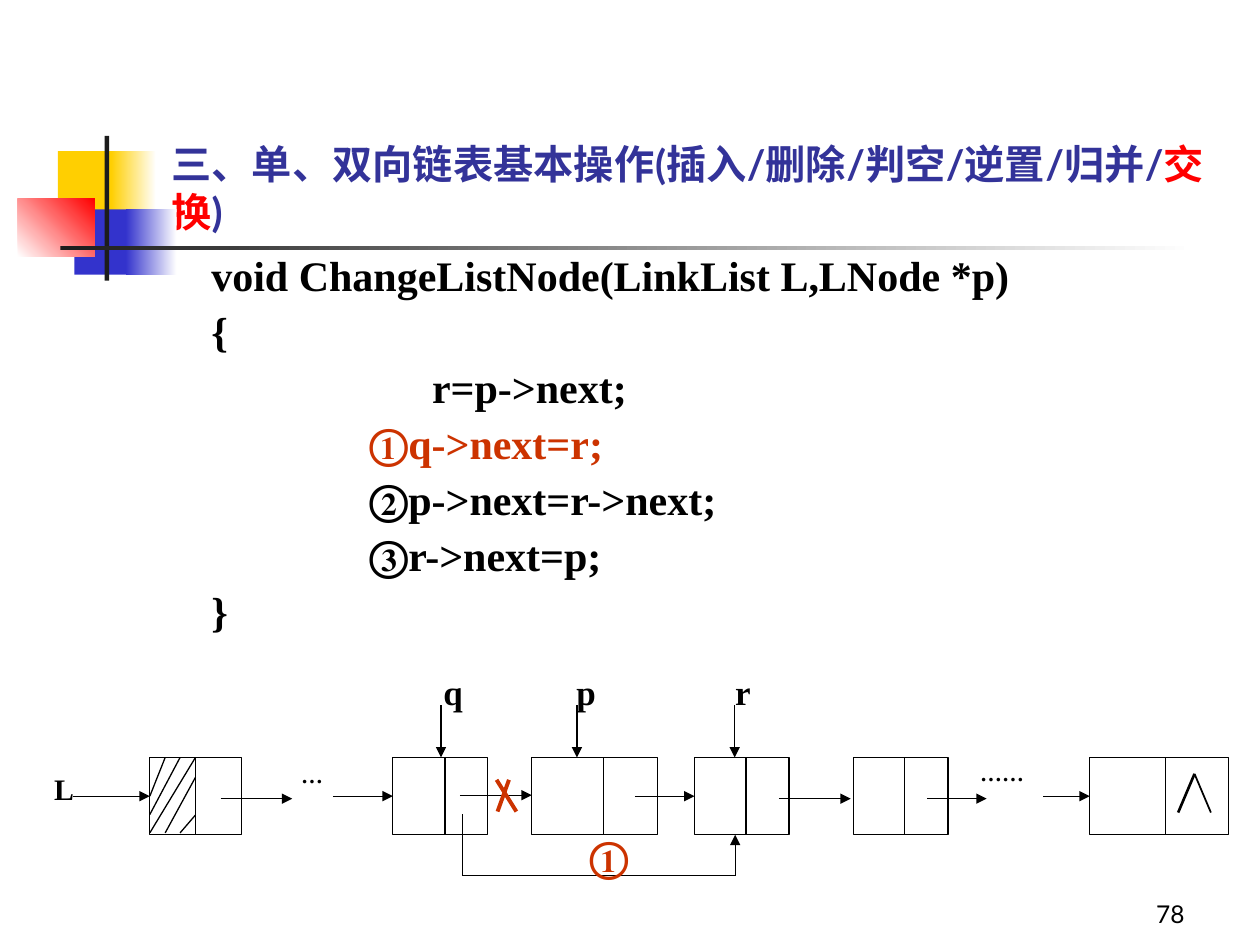
from pptx import Presentation
from pptx.dml.color import RGBColor as Rgb
from pptx.enum.shapes import MSO_CONNECTOR as Link, MSO_SHAPE as Kind
from pptx.enum.text import MSO_ANCHOR as Anchor, PP_ALIGN as Align
from pptx.oxml.ns import qn
from pptx.util import Cm, Pt
from lxml.etree import SubElement as Sub

THEME = dict(
    black="000000", white="FFFFFF", red="CC3300", hot="FF0000", navy="333399",
    gold="FFCF01", blue="3333CC", ink="1C1C1C",
    body="Times New Roman", head="Lato",
    title=23, code=24, label=20, list=17, dots=12.5, page=14,
    thin=0.25, line=0.75, mid=1, bold=1.5, cross=2.25,
)

TITLE = [("三、单、双向链表基本操作(插入/删除/判空/逆置/归并/", "navy"),
         ("交换", "hot"), (")", "navy")]

# text, colour, indent
CODE = [
    ("void ChangeListNode(LinkList L,LNode *p)", "black", 0),
    ("{", "black", 0),
    ("r=p->next;", "black", 4.45),
    ("①q->next=r;", "red", 3.18),
    ("②p->next=r->next;", "black", 3.18),
    ("③r->next=p;", "black", 3.18),
    ("}", "black", 0),
]

# left, top, width, height, first colour, last colour, angle
DECOR = [
    (1.17, 3.05, 1.22, 1.32, "gold", None, 0),
    (2.24, 3.05, 0.91, 1.32, "gold", "white", 0),
    (1.5, 4.22, 1.17, 1.32, "blue", None, 0),
    (2.54, 4.22, 1.02, 1.32, "blue", "white", 0),
    (0.36, 4.01, 1.55, 1.17, "white", "hot", 45),
    (2.11, 2.74, 0.09, 2.92, "ink", None, 0),
    (1.22, 4.95, 22.86, 0.09, "ink", "white", 0),
]

TOP, TALL = 15.27, 1.56
# left, width, divider
NODES = [(3.02, 1.85, 3.94), (7.92, 1.91, 8.97), (10.72, 2.54, 12.17),
         (14, 1.91, 15.04), (17.2, 1.91, 18.24), (21.97, 2.79, 23.5)]
# start, end, height
NEXT = [(1.47, 3.02, 16.05), (4.45, 5.89, 16.1), (6.71, 7.92, 16.05),
        (9.27, 10.72, 16.03), (12.8, 14, 16.05), (15.7, 17.15, 16.1),
        (18.69, 19.89, 16.1), (21.03, 21.97, 16.05)]
MARKS = [8.89, 11.63, 14.81]
HATCH = [(3.94, TOP, 3.02, 16.79), (3.33, TOP, 3.02, 16.05),
         (3.63, TOP, 3.02, 16.42), (3.94, 15.67, 3.33, 16.79),
         (3.94, 16.43, 3.63, 16.79)]
# ends, weight, colour
STROKES = [
    ((23.75, 16.38, 24.08, 15.6), "bold", "black"),
    ((24.08, 15.6, 24.41, 16.38), "mid", "black"),
    ((9.32, 17.65, 9.32, 16.41), "thin", "black"),
    ((9.32, 17.65, 14.82, 17.65), "line", "black"),
    ((10.26, 15.72, 10.03, 16.36), "cross", "red"),
    ((10.01, 15.72, 10.41, 16.36), "cross", "red"),
]
BYPASS = (14.82, 17.65, 14.82, TOP + TALL)

# text, box, size, colour, line spacing
NOTES = [
    ("……", (19.51, 15.29, 2.08, 0.84), "dots", "black", 0.8),
    ("…", (5.82, 15.34, 1.22, 0.84), "dots", "black", 0.8),
    ("L", (0.84, 15.49, 1.07, 1.07), "list", "black", 0.9),
    ("①", (11.63, 16.61, 1.3, 1.27), "code", "red", 1),
]
NAMES, STOPS = "q\tp\tr", (2.68, 5.88)


def tint(name):
    return Rgb.from_string(THEME[name])


def cms(nums):
    return [Cm(n) for n in nums]


def box(slide, area, first=None, last=None, turn=0, edge=False):
    shape = slide.shapes.add_shape(Kind.RECTANGLE, *cms(area))
    shape.shadow.inherit = False
    if last:
        shape.fill.gradient()
        shape.fill.gradient_angle = turn
        for stop, name in zip(shape.fill.gradient_stops, (first, last)):
            stop.color.rgb = tint(name)
    else:
        shape.fill.solid()
        shape.fill.fore_color.rgb = tint(first)
    if edge:
        shape.line.color.rgb = tint("black")
        shape.line.width = Pt(THEME["line"])
    else:
        shape.line.fill.background()


def line(slide, ends, size="line", color="black", arrow=False):
    link = slide.shapes.add_connector(Link.STRAIGHT, *cms(ends))
    link.line.color.rgb = tint(color)
    link.line.width = Pt(THEME[size])
    props = link._element.spPr
    if arrow:
        Sub(props.find(qn("a:ln")), qn("a:tailEnd"), type="triangle")
    Sub(props, qn("a:effectLst"))


def frame(slide, area):
    text = slide.shapes.add_textbox(*cms(area)).text_frame
    text.word_wrap = True
    return text


def write(para, text, size, color, face="body", bold=True):
    run = para.add_run()
    run.text = text
    font = run.font
    font.name, font.size, font.bold = THEME[face], Pt(THEME[size]), bold
    font.color.rgb = tint(color)


def draw_title(slide):
    head = slide.shapes.title
    head.left, head.top, head.width, head.height = cms((3.2, 1.7, 21.64, 3.18))
    head.text_frame.vertical_anchor = Anchor.BOTTOM
    para = head.text_frame.paragraphs[0]
    para.alignment = Align.LEFT
    for text, color in TITLE:
        write(para, text, "title", color, "head")


def draw_code(slide):
    text = frame(slide, (4.01, 5.03, 17.6, 8.71))
    for i, (words, color, inset) in enumerate(CODE):
        para = text.add_paragraph() if i else text.paragraphs[0]
        para.line_spacing = 0.9
        para.space_before = Pt(6 if i else 0)
        para._p.get_or_add_pPr().set("marL", str(Cm(inset)))
        write(para, words, "code", color)


def draw_list(slide):
    for left, wide, split in NODES:
        box(slide, (left, TOP, wide, TALL), "white", edge=True)
        line(slide, (split, TOP, split, TOP + TALL))
    for ends in HATCH:
        line(slide, ends)
    for start, end, y in NEXT:
        line(slide, (start, y, end, y), arrow=True)
    for x in MARKS:
        line(slide, (x, 14.22, x, TOP), arrow=True)
    for ends, size, color in STROKES:
        line(slide, ends, size, color)
    line(slide, BYPASS, arrow=True)


def draw_notes(slide):
    for words, area, size, color, gap in NOTES:
        para = frame(slide, area).paragraphs[0]
        para.line_spacing = gap
        write(para, words, size, color)
    para = frame(slide, (8.69, 13.39, 9.73, 1.12)).paragraphs[0]
    tabs = Sub(para._p.get_or_add_pPr(), qn("a:tabLst"))
    for stop in STOPS:
        Sub(tabs, qn("a:tab"), pos=str(Cm(stop)), algn="l")
    write(para, NAMES, "label", "black")
    text = frame(slide, (18.85, 17.58, 5.28, 1.27))
    text.vertical_anchor = Anchor.BOTTOM
    text.paragraphs[0].alignment = Align.RIGHT
    write(text.paragraphs[0], "78", "page", "black", "head", False)


def main():
    deck = Presentation()
    deck.slide_width, deck.slide_height = Cm(25.4), Cm(19.05)
    slide = deck.slides.add_slide(deck.slide_layouts[5])
    for *area, first, last, turn in DECOR:
        box(slide, area, first, last, turn)
    draw_list(slide)
    draw_notes(slide)
    draw_code(slide)
    draw_title(slide)
    deck.save("out.pptx")


if __name__ == "__main__":
    main()
